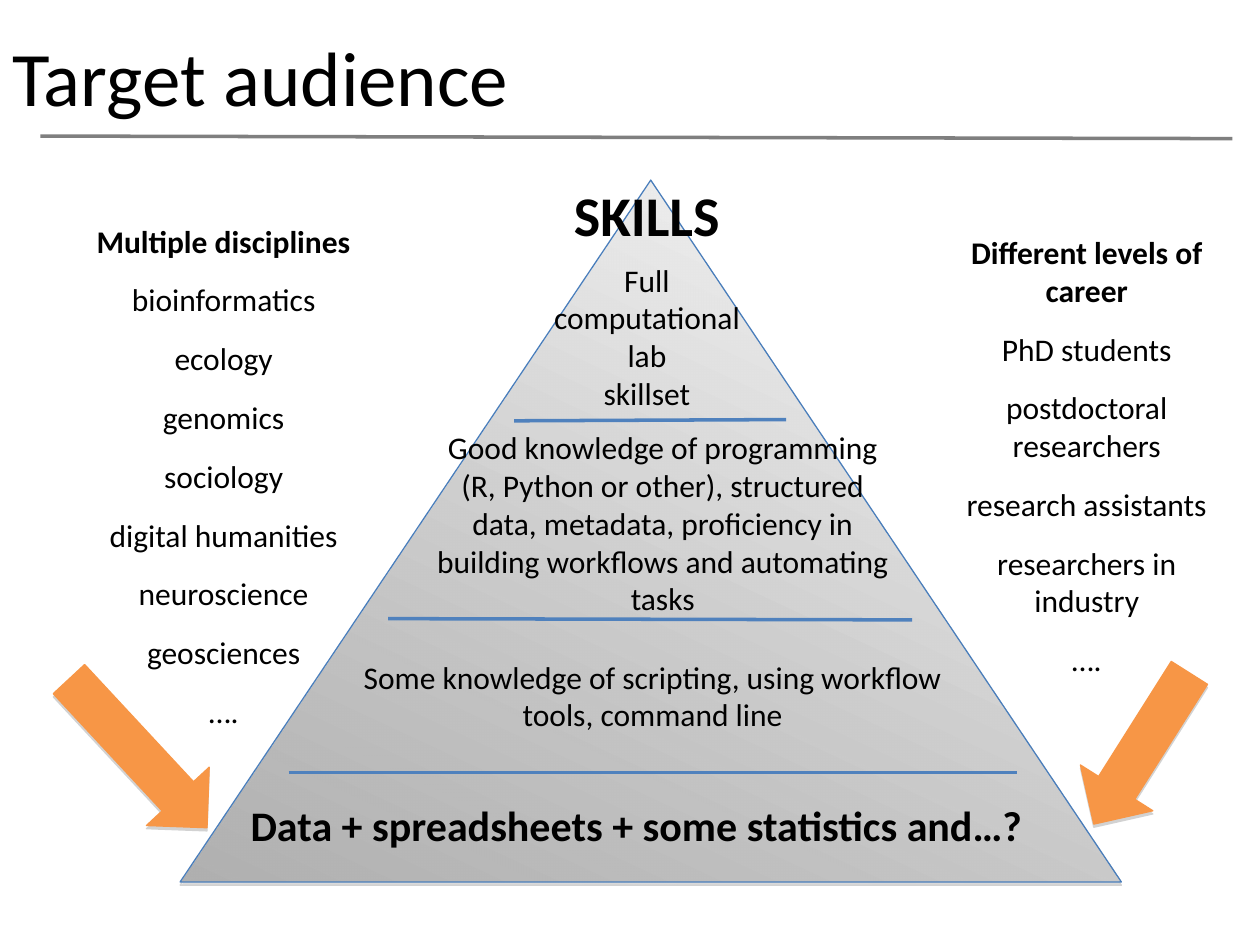
from lxml import etree
from pptx import Presentation
from pptx.dml.color import RGBColor
from pptx.enum.shapes import MSO_CONNECTOR, MSO_SHAPE
from pptx.enum.text import MSO_ANCHOR, PP_ALIGN
from pptx.oxml.ns import qn
from pptx.util import Pt

PX = 9144  # EMU per px, 100 px to the inch
FONT = "Calibri"
BLACK = RGBColor(0x00, 0x00, 0x00)
WHITE = RGBColor(0xFF, 0xFF, 0xFF)
GREY = RGBColor(0xA6, 0xA6, 0xA6)
RULE_GREY = RGBColor(0x7F, 0x7F, 0x7F)
SHADOW_GREY = RGBColor(0x80, 0x80, 0x80)
BLUE = RGBColor(0x4F, 0x81, 0xBD)
OUTLINE_BLUE = RGBColor(0x4A, 0x7E, 0xBB)
ORANGE = RGBColor(0xF7, 0x96, 0x46)
LEFT, CENTER = PP_ALIGN.LEFT, PP_ALIGN.CENTER
TOP, MIDDLE = MSO_ANCHOR.TOP, MSO_ANCHOR.MIDDLE
TRIANGLE, RIGHT_ARROW = MSO_SHAPE.ISOSCELES_TRIANGLE, MSO_SHAPE.RIGHT_ARROW
STRAIGHT = MSO_CONNECTOR.STRAIGHT

DISCIPLINES = ["Multiple disciplines", "bioinformatics", "ecology", "genomics",
               "sociology", "digital humanities", "neuroscience", "geosciences", "…."]
CAREERS = ["Different levels of career", "PhD students", "postdoctoral researchers",
           "research assistants", "researchers in industry", "…."]


class SlideBuilder:
    def __init__(self, slide):
        self.shapes = slide.shapes

    def text(self, box, lines, size=18, bold_lines=0, align=CENTER, anchor=TOP, before=0):
        """Add one paragraph per line; the first bold_lines of them are bold."""
        frame = self.shapes.add_textbox(*(v * PX for v in box)).text_frame
        frame.word_wrap = True
        frame.vertical_anchor = anchor
        for index, line in enumerate(lines):
            paragraph = frame.add_paragraph() if index else frame.paragraphs[0]
            paragraph.alignment = align
            paragraph.space_before = Pt(before)
            run = paragraph.add_run()
            run.text = line
            run.font.name = FONT
            run.font.size = Pt(size)
            run.font.bold = index < bold_lines
            run.font.color.rgb = BLACK

    def line(self, x1, y1, x2, y2, color=BLUE):
        connector = self.shapes.add_connector(STRAIGHT, x1 * PX, y1 * PX, x2 * PX, y2 * PX)
        connector.line.color.rgb = color
        connector.line.width = Pt(2)
        etree.SubElement(connector._element.spPr, qn("a:effectLst"))

    def shape(self, kind, box, outline):
        """Add an outlined shape with a soft shadow just below it."""
        shape = self.shapes.add_shape(kind, *(v * PX for v in box))
        shape.line.color.rgb = outline
        shape.line.width = Pt(0.75)
        shape.shadow.inherit = False
        effects = shape._element.spPr.find(qn("a:effectLst"))
        shadow = etree.SubElement(effects, qn("a:outerShdw"), blurRad="0",
                                  dist=str(Pt(1.8)), dir="5400000", rotWithShape="0")
        color = etree.SubElement(shadow, qn("a:srgbClr"), val=str(SHADOW_GREY))
        etree.SubElement(color, qn("a:alpha"), val="35000")
        return shape

    def pyramid(self, box):
        fill = self.shape(TRIANGLE, box, OUTLINE_BLUE).fill
        fill.gradient()
        fill.gradient_angle = 245
        start, end = fill.gradient_stops
        start.color.rgb, end.color.rgb = WHITE, GREY
        start.position, end.position = 0, 1
        color = end._gs.find(qn("a:srgbClr"))
        etree.SubElement(color, qn("a:alpha"), val="80000")

    def arrow(self, box, rotation):
        arrow = self.shape(RIGHT_ARROW, box, ORANGE)
        arrow.fill.solid()
        arrow.fill.fore_color.rgb = ORANGE
        arrow.rotation = rotation


def main():
    presentation = Presentation()
    presentation.slide_width, presentation.slide_height = 1000 * PX, 750 * PX
    builder = SlideBuilder(presentation.slides.add_slide(presentation.slide_layouts[6]))

    builder.line(32, 108, 978, 110, RULE_GREY)
    builder.text((0, 0, 747, 120), ["Target audience"], 44, align=LEFT, anchor=MIDDLE)

    builder.pyramid((143, 143, 747, 557))
    builder.arrow((29, 564, 161, 68), 47.1)
    builder.arrow((835, 560, 142, 68), 122.3)

    builder.text((189, 630, 657, 90), ["Data + spreadsheets + some statistics and…?"],
                 24, bold_lines=1, align=LEFT)
    builder.text((261, 517, 514, 100),
                 ["Some knowledge of scripting, using workflow tools, command line"])
    builder.line(229, 613, 807, 613)
    builder.line(308, 491, 724, 492)
    builder.text((335, 335, 382, 190),
                 ["Good knowledge of programming (R, Python or other), structured data, "
                  "metadata, proficiency in building workflows and automating tasks"])

    builder.text((29, 171, 297, 474), DISCIPLINES, bold_lines=1, before=12)
    builder.text((740, 180, 245, 424), CAREERS, bold_lines=1, before=12)

    builder.text((365, 138, 297, 117), ["SKILLS"], 32, bold_lines=1)
    builder.text((365, 202, 297, 160), ["Full", "computational", "lab", "skillset"])
    builder.line(408, 334, 624, 333)

    presentation.save("out.pptx")


if __name__ == "__main__":
    main()
